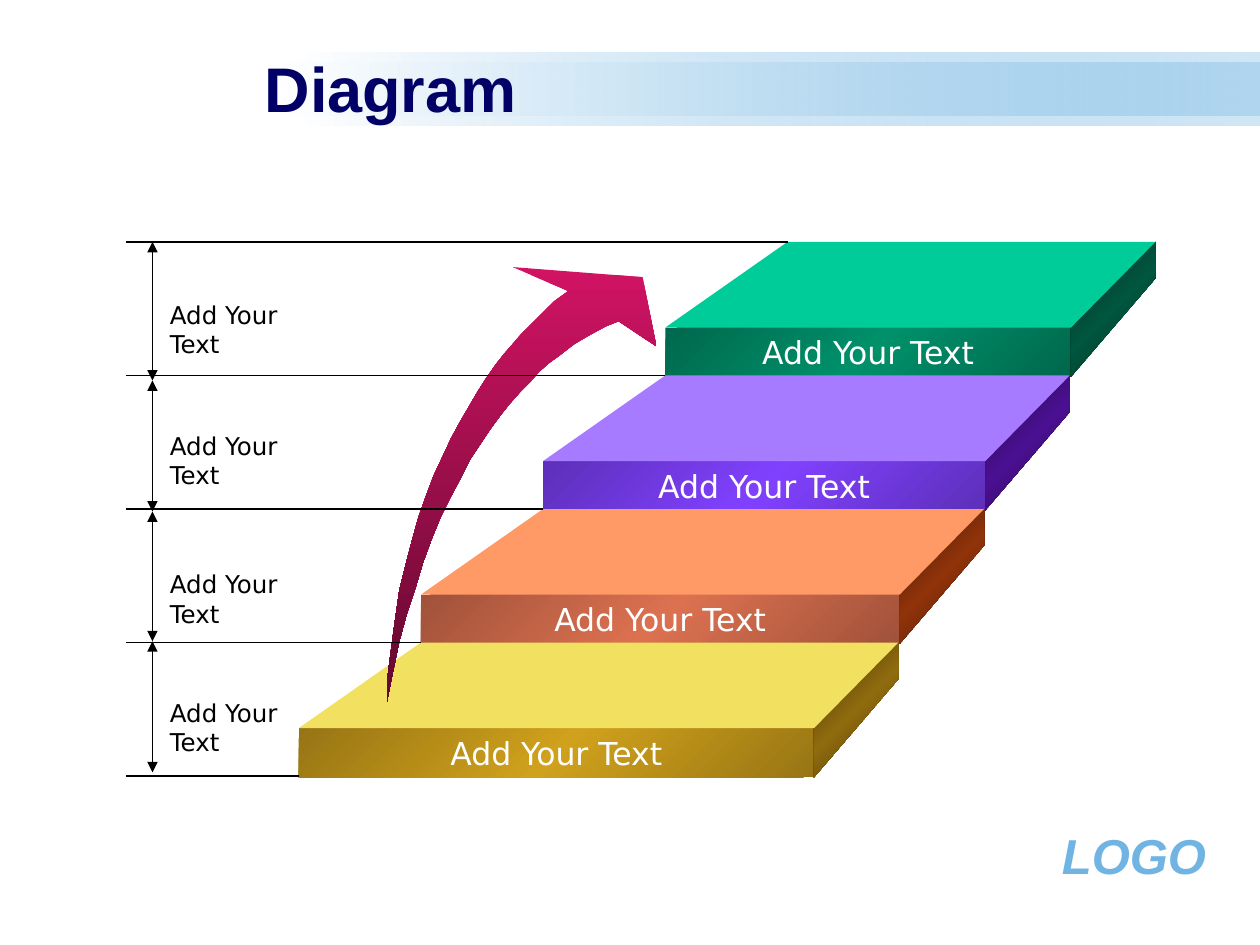
from lxml import etree
from pptx import Presentation
from pptx.dml.color import RGBColor
from pptx.enum.dml import MSO_FILL
from pptx.enum.shapes import MSO_CONNECTOR, MSO_SHAPE
from pptx.enum.text import MSO_ANCHOR, MSO_AUTO_SIZE, PP_ALIGN
from pptx.oxml.ns import qn
from pptx.util import Inches, Pt

LEFT, CENTER, RIGHT = PP_ALIGN.LEFT, PP_ALIGN.CENTER, PP_ALIGN.RIGHT
TOP, MIDDLE = MSO_ANCHOR.TOP, MSO_ANCHOR.MIDDLE
RECTANGLE = MSO_SHAPE.RECTANGLE
STRAIGHT = MSO_CONNECTOR.STRAIGHT

WHITE = RGBColor(0xFF, 0xFF, 0xFF)
BLACK = RGBColor(0x00, 0x00, 0x00)
NAVY = RGBColor(0x00, 0x00, 0x66)
SKY = RGBColor(0x6F, 0xB4, 0xE3)
PINK = RGBColor(0xD1, 0x13, 0x64)
WINE = RGBColor(0x61, 0x09, 0x2E)

# Per step, from the top: top face, front edge, front middle, side edge, side middle
STEP_COLORS = [
    [RGBColor.from_string(code) for code in row.split()]
    for row in (
        "00CC99 00684D 00906A 00281D 00563F",
        "A77BFF 5D2FB9 8041FF 230744 4B1092",
        "FF9966 A0523A DC7150 431805 90330A",
        "F2E160 977514 D0A11C 433206 906B0E",
    )
]


def write(shape, text, size, color, font="DejaVu Sans", bold=False, italic=False,
          align=LEFT, anchor=TOP, wrap=True):
    frame = shape.text_frame
    frame.text = text
    frame.word_wrap = wrap
    frame.auto_size = MSO_AUTO_SIZE.NONE
    frame.vertical_anchor = anchor
    paragraph = frame.paragraphs[0]
    paragraph.alignment = align
    paragraph.font.size = Pt(size)
    paragraph.font.name = font
    paragraph.font.bold = bold
    paragraph.font.italic = italic
    paragraph.font.color.rgb = color


def paint(shape, colors, angle=0, end_opacity=100):
    """Fill with one colour or an even gradient, without outline or shadow."""
    shape.shadow.inherit = False
    shape.line.fill.background()
    if len(colors) == 1:
        shape.fill.solid()
        shape.fill.fore_color.rgb = colors[0]
        return
    shape.fill.gradient()
    shape.fill.gradient_angle = -angle % 360  # python-pptx counts anticlockwise
    stops = shape.element.spPr.find(qn("a:gradFill")).find(qn("a:gsLst"))
    for stop in list(stops):
        stops.remove(stop)
    for i, color in enumerate(colors):
        position = 100000 * i // (len(colors) - 1)
        stop = etree.SubElement(stops, qn("a:gs"), pos=str(position))
        swatch = etree.SubElement(stop, qn("a:srgbClr"), val=str(color))
    if end_opacity < 100:
        etree.SubElement(swatch, qn("a:alpha"), val=str(end_opacity * 1000))


prs = Presentation()
prs.slide_width, prs.slide_height = Inches(10), Inches(7.5)
slide = prs.slides.add_slide(prs.slide_layouts[5])
shapes = slide.shapes

# Title on two overlaid translucent bands
title = shapes.title
title.left, title.top = Inches(2), Inches(0.38)
title.width, title.height = Inches(7.58), Inches(0.62)
write(title, "Diagram", 36, NAVY, font="Arial", bold=True, anchor=MIDDLE)
for left, top, height in ((2.33, 0.42, 0.58), (2.17, 0.5, 0.42)):
    band = shapes.add_shape(RECTANGLE, Inches(left), Inches(top),
                            Inches(10 - left), Inches(height))
    paint(band, [WHITE, SKY], end_opacity=32)
    title.element.addprevious(band.element)

footer_mark = shapes.add_textbox(Inches(7.87), Inches(6.5), Inches(1.8), Inches(0.57))
write(footer_mark, "LOGO", 28, SKY, font="Arial", bold=True, italic=True, align=RIGHT)

# Staircase: each step is a front, a slanted top and a slanted side
STEP_DROP, STEP_SHIFT, STEP_GROWTH = 1.06, 0.97, 0.29
FRONT_HEIGHT, TOP_DEPTH, SIDE_SHIFT = 0.39, 0.68, 0.67
FIRST_LEFT, FIRST_TOP, FIRST_WIDTH = 5.28, 2.6, 3.22

faces = []
for i, (top_color, edge, middle, side_edge, side_middle) in enumerate(STEP_COLORS):
    left = FIRST_LEFT - i * STEP_SHIFT
    top = FIRST_TOP + i * STEP_DROP
    width = FIRST_WIDTH + i * STEP_GROWTH
    right, back = left + width, top - TOP_DEPTH
    far_right = right + SIDE_SHIFT
    faces.append(([(far_right, back + 0.29), (right, top + FRONT_HEIGHT),
                   (right, top), (far_right, back)],
                  [side_edge, side_middle, side_edge], 45))
    faces.append(([(right, top), (left, top), (left + STEP_SHIFT, back),
                   (far_right, back)], [top_color], 0))

    front = shapes.add_shape(RECTANGLE, Inches(left), Inches(top),
                             Inches(width), Inches(FRONT_HEIGHT))
    paint(front, [edge, middle, edge], 45)
    write(front, "Add Your Text", 18, WHITE, align=CENTER, anchor=MIDDLE, wrap=False)

# Rising curved arrow
faces.append(([
    (3.07, 5.58), (3.08, 5.34), (3.11, 5.11), (3.14, 4.89), (3.17, 4.68), (3.22, 4.48),
    (3.27, 4.29), (3.32, 4.11), (3.38, 3.94), (3.44, 3.78), (3.51, 3.63), (3.58, 3.48),
    (3.65, 3.35), (3.72, 3.23), (3.79, 3.11), (3.86, 3), (3.93, 2.9), (4, 2.81),
    (4.07, 2.73), (4.13, 2.66), (4.2, 2.59), (4.31, 2.48), (4.4, 2.39), (4.51, 2.31),
    (4.07, 2.12), (5.1, 2.2), (5.21, 2.75), (4.91, 2.55),
    (4.81, 2.59), (4.68, 2.66), (4.56, 2.73), (4.43, 2.83), (4.36, 2.88), (4.28, 2.95),
    (4.21, 3.03), (4.13, 3.11), (4.05, 3.2), (3.97, 3.3), (3.89, 3.41), (3.81, 3.53),
    (3.73, 3.65), (3.66, 3.79), (3.58, 3.94), (3.5, 4.1), (3.43, 4.27), (3.36, 4.46),
    (3.3, 4.66), (3.23, 4.87), (3.17, 5.09), (3.12, 5.33),
], [PINK, WINE], 90))

for points, colors, angle in faces:
    corners = [(Inches(x), Inches(y)) for x, y in points]
    outline = shapes.build_freeform(*corners[0])
    outline.add_line_segments(corners[1:], close=True)
    paint(outline.convert_to_shape(), colors, angle)

# Level lines and the double-headed height arrows between them
LEVELS = [1.92 + i * STEP_DROP for i in range(5)]
ARROW_ENDS = [1.92, 3.02, 4.06, 5.09, 6.13]
rules = [(6.25 - i * STEP_SHIFT, y, 1, y, False) for i, y in enumerate(LEVELS)]
rules += [(1.21, start, 1.21, end, True) for start, end in zip(ARROW_ENDS, ARROW_ENDS[1:])]
for x1, y1, x2, y2, has_heads in rules:
    rule = shapes.add_connector(STRAIGHT, Inches(x1), Inches(y1), Inches(x2), Inches(y2))
    rule.line.color.rgb = BLACK
    rule.line.width = Pt(0.75)
    if has_heads:
        for end_tag in ("a:headEnd", "a:tailEnd"):
            etree.SubElement(rule.line._get_or_add_ln(), qn(end_tag), type="triangle")
    etree.SubElement(rule.element.spPr, qn("a:effectLst"))

for top in (2.33, 3.37, 4.47, 5.49):
    label = shapes.add_textbox(Inches(1.25), Inches(top), Inches(1.4), Inches(0.57))
    write(label, "Add Your Text", 14, BLACK)

prs.save("out.pptx")
